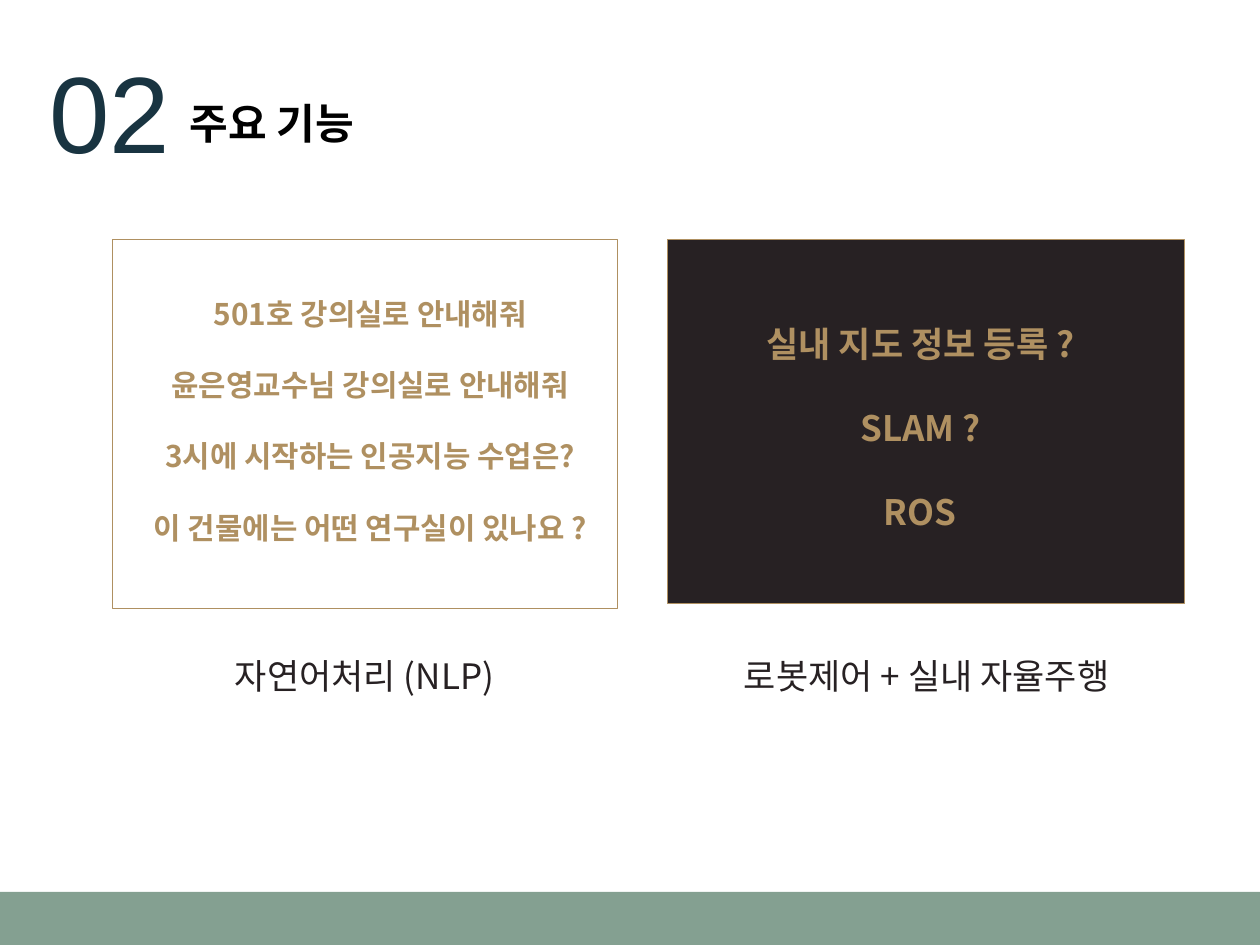
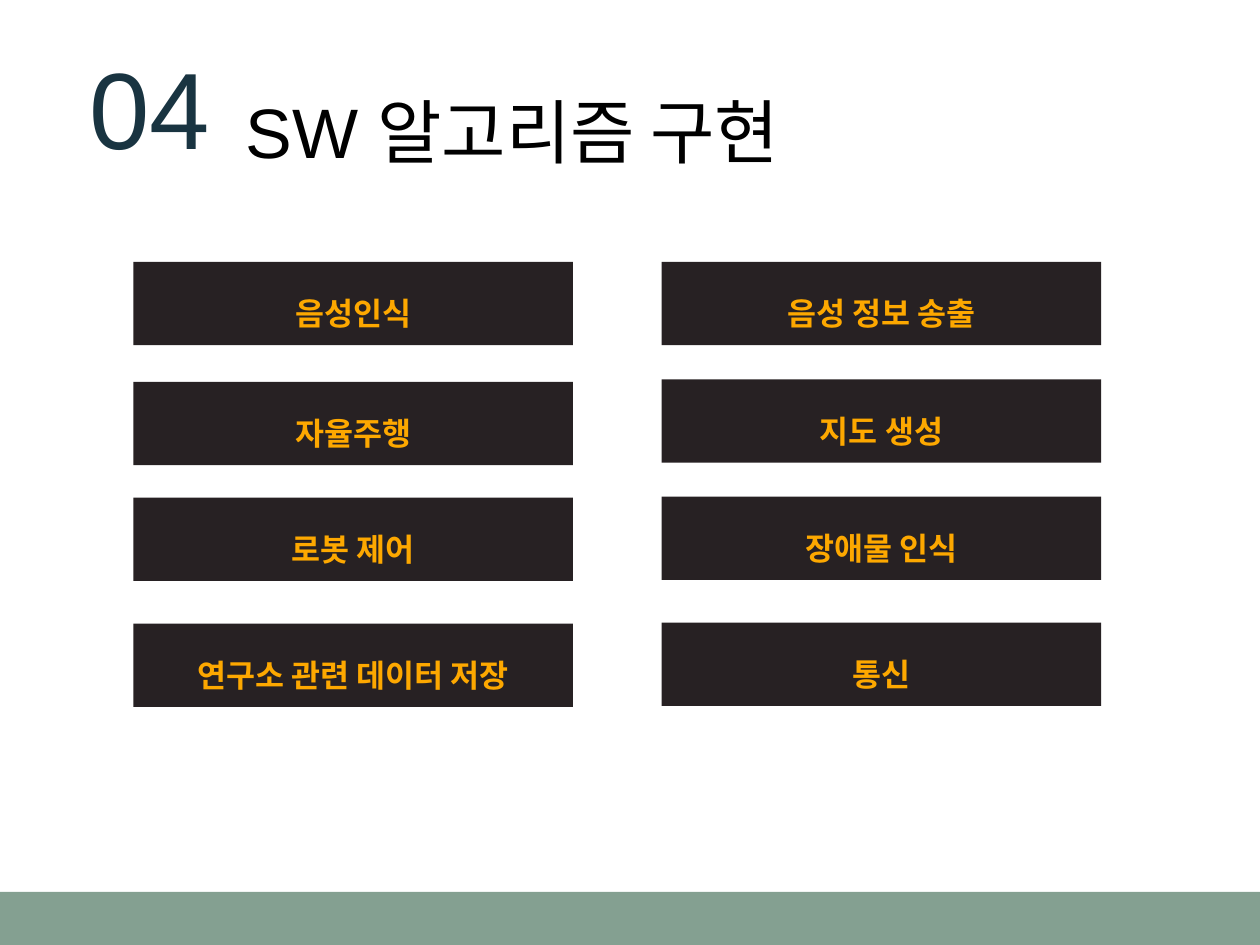
import pptx
import pptx.dml.color
import pptx.enum.shapes
import pptx.enum.text
import pptx.oxml
import pptx.oxml.ns
import pptx.util

Cm = pptx.util.Cm
Pt = pptx.util.Pt
RGBColor = pptx.dml.color.RGBColor
PP_ALIGN = pptx.enum.text.PP_ALIGN

SAGE = RGBColor(0x84, 0xA0, 0x91)
NAVY = RGBColor(0x19, 0x34, 0x41)
BLACK = RGBColor(0x00, 0x00, 0x00)
CHARCOAL = RGBColor(0x27, 0x21, 0x23)
GOLD = RGBColor(0xAF, 0x90, 0x61)
ORANGE = RGBColor(0xFD, 0xA8, 0x00)

HEADING_FONT = "Arial"
KOREAN_FONT = "Noto Sans CJK KR"
SLIDE_WIDTH, SLIDE_HEIGHT = 25.4, 19.05

VOICE_COMMANDS = [
    "501호 강의실로 안내해줘",
    "윤은영교수님 강의실로 안내해줘",
    "3시에 시작하는 인공지능 수업은?",
    "이 건물에는 어떤 연구실이 있나요 ?",
]
NAVIGATION_TOPICS = ["실내 지도 정보 등록 ?", "SLAM ?", "ROS"]

# Each column: left edge, then (top, label) for every module
MODULE_COLUMNS = [
    (2.69, [(5.28, "음성인식"), (7.7, "자율주행"),
            (10.03, "로봇 제어"), (12.57, "연구소 관련 데이터 저장")]),
    (13.34, [(5.28, "음성 정보 송출"), (7.65, "지도 생성"),
             (10.01, "장애물 인식"), (12.55, "통신")]),
]


def add_rectangle(slide, left, top, width, height, fill=None, line=None):
    rectangle = slide.shapes.add_shape(
        pptx.enum.shapes.MSO_SHAPE.RECTANGLE,
        Cm(left), Cm(top), Cm(width), Cm(height))
    rectangle.shadow.inherit = False
    if fill is None:
        rectangle.fill.background()
    else:
        rectangle.fill.solid()
        rectangle.fill.fore_color.rgb = fill
    if line is None:
        rectangle.line.fill.background()
    else:
        rectangle.line.color.rgb = line
        rectangle.line.width = Pt(0.5)


def add_text(slide, left, top, width, height, lines, size, color,
             font=KOREAN_FONT, bold=False, align=PP_ALIGN.CENTER,
             leading=1.3, pitch=2.4):
    """Leading and pitch (start of one paragraph to the next) are in ems."""
    frame = slide.shapes.add_textbox(
        Cm(left), Cm(top), Cm(width), Cm(height)).text_frame
    frame.word_wrap = True
    frame.text = "\n".join(lines)
    for index, paragraph in enumerate(frame.paragraphs):
        paragraph.alignment = align
        if leading:
            paragraph.line_spacing = Pt(size * leading)
        if index:
            paragraph.space_before = Pt(size * (pitch - leading))
        for run in paragraph.runs:
            run.font.size = Pt(size)
            run.font.bold = bold
            run.font.name = font
            run.font.color.rgb = color
            east_asian = pptx.oxml.parse_xml(
                f'<a:ea {pptx.oxml.ns.nsdecls("a")} typeface="{KOREAN_FONT}"/>')
            run.font.fill  # the fill must precede the typefaces
            run.font._element.find(pptx.oxml.ns.qn("a:latin")).addnext(east_asian)


def add_section_slide(deck, number, number_at, title, title_at, size, bold):
    """Slide with the section number, its title and the bottom band."""
    slide = deck.slides.add_slide(deck.slide_layouts[6])
    add_rectangle(slide, 0, 17.98, SLIDE_WIDTH, SLIDE_HEIGHT - 17.98, SAGE)
    add_text(slide, *number_at, 3.35, 2.9, [number], 62, NAVY,
             font=HEADING_FONT, align=PP_ALIGN.LEFT, leading=None)
    add_text(slide, *title_at, 16.46, size * 0.06, [title], size, BLACK,
             font=HEADING_FONT, bold=bold, align=PP_ALIGN.LEFT, leading=1.88)
    return slide


def add_module(slide, left, top, label):
    add_rectangle(slide, left, top, 8.86, 1.68, CHARCOAL)
    add_text(slide, left + 0.3, top + 0.46, 8.26, 1.02, [label], 18, ORANGE,
             bold=True)


def build_features(deck):
    slide = add_section_slide(deck, "02", (0.74, 0.79),
                              "주요 기능", (3.58, 1.27), 24, True)
    add_rectangle(slide, 2.26, 4.83, 10.19, 7.44, line=GOLD)
    add_rectangle(slide, 13.46, 4.83, 10.41, 7.34, CHARCOAL, GOLD)
    add_text(slide, 2.26, 5.77, 10.41, 6.12, VOICE_COMMANDS, 17, GOLD, bold=True)
    add_text(slide, 14.76, 6.3, 7.59, 5.38, NAVIGATION_TOPICS, 20, GOLD, bold=True)
    add_text(slide, 3.68, 13, 7.34, 1.12, ["자연어처리 (NLP)"], 20, CHARCOAL)
    add_text(slide, 14.2, 13, 8.97, 1.12, ["로봇제어 + 실내 자율주행"], 20, CHARCOAL)


def build_algorithms(deck):
    slide = add_section_slide(deck, "04", (1.55, 0.71),
                              "SW 알고리즘 구현", (4.7, 0.71), 40, False)
    for left, modules in MODULE_COLUMNS:
        for top, label in modules:
            add_module(slide, left, top, label)


def main():
    deck = pptx.Presentation()
    deck.slide_width, deck.slide_height = Cm(SLIDE_WIDTH), Cm(SLIDE_HEIGHT)
    build_features(deck)
    build_algorithms(deck)
    deck.save("out.pptx")


if __name__ == "__main__":
    main()
